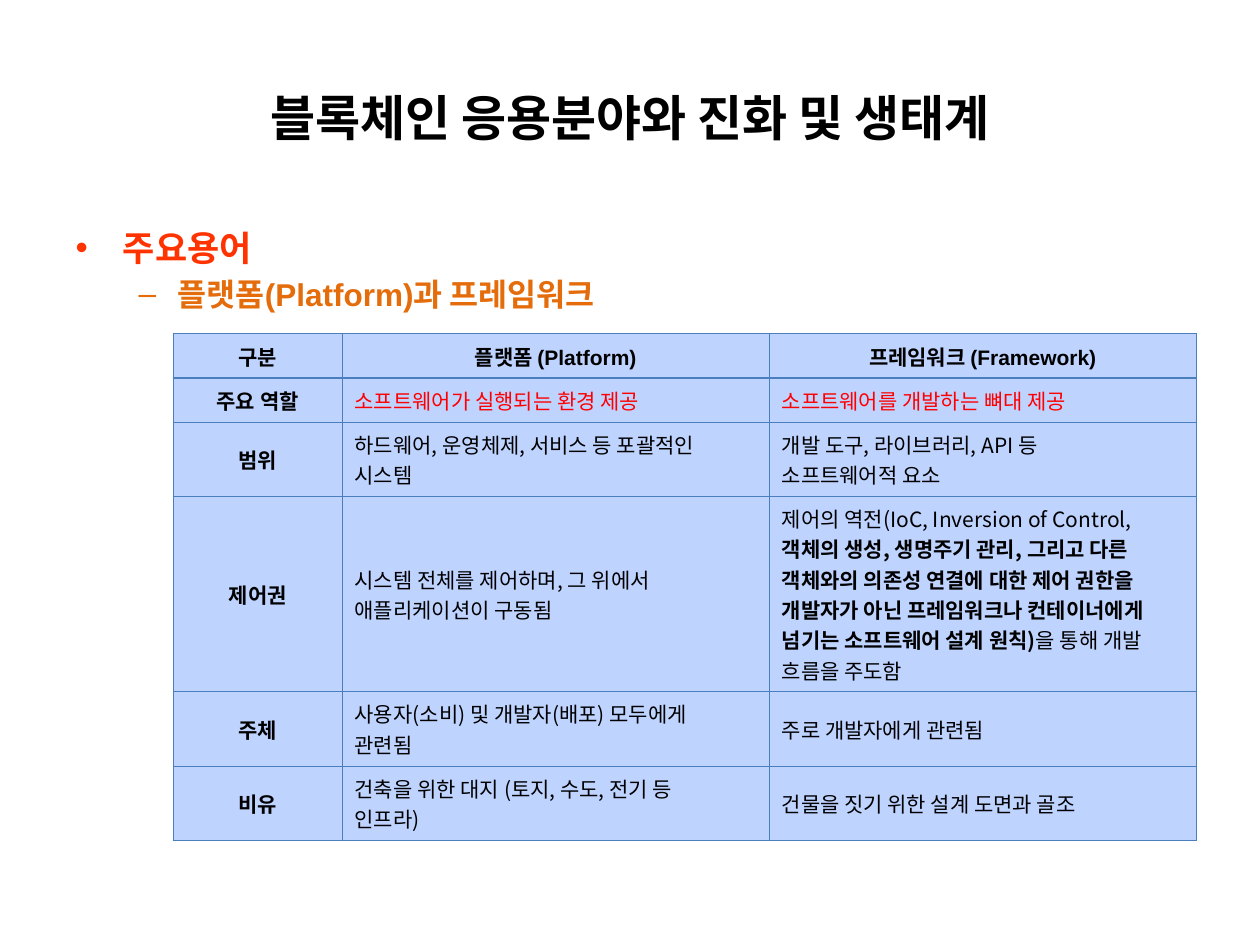
from lxml.etree import SubElement
from pptx import Presentation
from pptx.dml.color import RGBColor
from pptx.enum.text import MSO_ANCHOR, PP_ALIGN
from pptx.oxml.ns import qn
from pptx.util import Inches, Pt

COLORS = {"text": "000000", "heading": "FF3300", "subheading": "E46C0A",
          "emphasis": "FF0000", "cell": "BFD3FF", "border": "4B7EBC"}
LATIN, KOREAN = "Arial", "Noto Sans CJK KR"
GRID_COLUMNS, GRID_ROWS = 100, 75

HEADER = ["구분", "플랫폼 (Platform)", "프레임워크 (Framework)"]
# Each cell is a list of (text, bold) pieces or a plain string
ROWS = [
    ["주요 역할", "소프트웨어가 실행되는 환경 제공", "소프트웨어를 개발하는 뼈대 제공"],
    ["범위", "하드웨어, 운영체제, 서비스 등 포괄적인 시스템",
     "개발 도구, 라이브러리, API 등 \n소프트웨어적 요소"],
    ["제어권", "시스템 전체를 제어하며, 그 위에서 \n애플리케이션이 구동됨",
     [("제어의 역전(IoC, Inversion of Control, \n", False),
      ("객체의 생성, 생명주기 관리, 그리고 다른 객체와의 의존성 연결에 대한 제어 권한을 "
       "개발자가 아닌 프레임워크나 컨테이너에게 넘기는 소프트웨어 설계 원칙)", True),
      ("을 통해 개발 흐름을 주도함", False)]],
    ["주체", "사용자(소비) 및 개발자(배포) 모두에게 \n관련됨", "주로 개발자에게 관련됨"],
    ["비유", "건축을 위한 대지 (토지, 수도, 전기 등 \n인프라)",
     "건물을 짓기 위한 설계 도면과 골조"],
]


class SlideBuilder:
    """Holds the style and the current slide; lengths are grid units."""

    def __init__(self, presentation):
        self.column = presentation.slide_width / GRID_COLUMNS
        self.row = presentation.slide_height / GRID_ROWS
        self.slide = presentation.slides.add_slide(presentation.slide_layouts[1])

    def place(self, shape, left, top, width, height):
        shape.left, shape.width = int(left * self.column), int(width * self.column)
        shape.top, shape.height = int(top * self.row), int(height * self.row)

    def style(self, paragraph, size, color="text", bold=True, latin=LATIN):
        font = paragraph.font
        font.size, font.name = Pt(size), latin
        if bold is not None:
            font.bold = bold
        font.color.rgb = RGBColor.from_string(COLORS[color])
        defaults = paragraph._p.pPr.find(qn("a:defRPr"))
        SubElement(defaults, qn("a:ea"), typeface=KOREAN)

    def title(self, text, box):
        title = self.slide.shapes.title
        self.place(title, *box)
        title.text_frame.vertical_anchor = MSO_ANCHOR.MIDDLE
        paragraph = title.text_frame.paragraphs[0]
        paragraph.text, paragraph.alignment = text, PP_ALIGN.CENTER
        self.style(paragraph, 28)

    def bullets(self, items, box):
        body = self.slide.placeholders[1]
        self.place(body, *box)
        frame = body.text_frame
        for level, (text, size, color, mark) in enumerate(items):
            paragraph = frame.add_paragraph() if level else frame.paragraphs[0]
            paragraph.text, paragraph.level = text, level
            if level == 0:
                paragraph.space_before = Pt(0)
            properties = paragraph._p.get_or_add_pPr()
            bullet_color = SubElement(properties, qn("a:buClr"))
            SubElement(bullet_color, qn("a:srgbClr"), val=COLORS[color])
            SubElement(properties, qn("a:buChar"), char=mark)
            self.style(paragraph, size, color)

    def cell(self, cell, content, color="text", bold=False, centered=False, latin=KOREAN):
        cell.vertical_anchor = MSO_ANCHOR.MIDDLE
        self.border(cell)
        cell.fill.solid()
        cell.fill.fore_color.rgb = RGBColor.from_string(COLORS["cell"])
        paragraph = cell.text_frame.paragraphs[0]
        if centered:
            paragraph.alignment = PP_ALIGN.CENTER
        mixed = not isinstance(content, str)
        for text, piece_bold in content if mixed else [(content, bold)]:
            for index, line in enumerate(text.split("\n")):
                if index:
                    paragraph.add_line_break()
                if line:
                    run = paragraph.add_run()
                    run.text = line
                    if mixed:
                        run.font.bold = piece_bold
        for line_break in paragraph._p.findall(qn("a:br")):
            SubElement(line_break, qn("a:rPr"), sz="1200")
        self.style(paragraph, 12, color, None if mixed else bold, latin)

    def border(self, cell):
        properties = cell._tc.get_or_add_tcPr()
        for side in ("a:lnL", "a:lnR", "a:lnT", "a:lnB"):
            line = SubElement(properties, qn(side), w=str(Pt(0.75)))
            fill = SubElement(line, qn("a:solidFill"))
            SubElement(fill, qn("a:srgbClr"), val=COLORS["border"])

    def table(self, header, rows, left, top, widths, heights):
        frame = self.slide.shapes.add_table(len(rows) + 1, len(header), 0, 0, 1, 1)
        self.place(frame, left, top, sum(widths), sum(heights))
        table = frame.table
        for column, width in zip(table.columns, widths):
            column.width = int(width * self.column)
        for row, height in zip(table.rows, heights):
            row.height = int(height * self.row)
        for index, text in enumerate(header):
            self.cell(table.cell(0, index), text, bold=True, centered=True,
                      latin=LATIN if index else KOREAN)
        for row_index, (label, *contents) in enumerate(rows, 1):
            self.cell(table.cell(row_index, 0), label, bold=True, centered=True)
            color = "emphasis" if row_index == 1 else "text"
            for column_index, content in enumerate(contents, 1):
                self.cell(table.cell(row_index, column_index), content, color)


def main():
    presentation = Presentation()
    presentation.slide_width, presentation.slide_height = Inches(10), Inches(7.5)
    builder = SlideBuilder(presentation)

    # Title and terms
    builder.title("블록체인 응용분야와 진화 및 생태계", (5, 3, 90, 12.5))
    builder.bullets([("주요용어", 20, "heading", "•"),
                     ("플랫폼(Platform)과 프레임워크", 18, "subheading", "–")],
                    (5, 17.5, 90, 49.5))

    # Comparison table
    builder.table(HEADER, ROWS, 13.75, 26.5, widths=[13.4, 33.9, 33.9],
                  heights=[3.5, 3.5, 5.9, 15.5, 5.9, 5.9])

    presentation.save("out.pptx")


if __name__ == "__main__":
    main()
